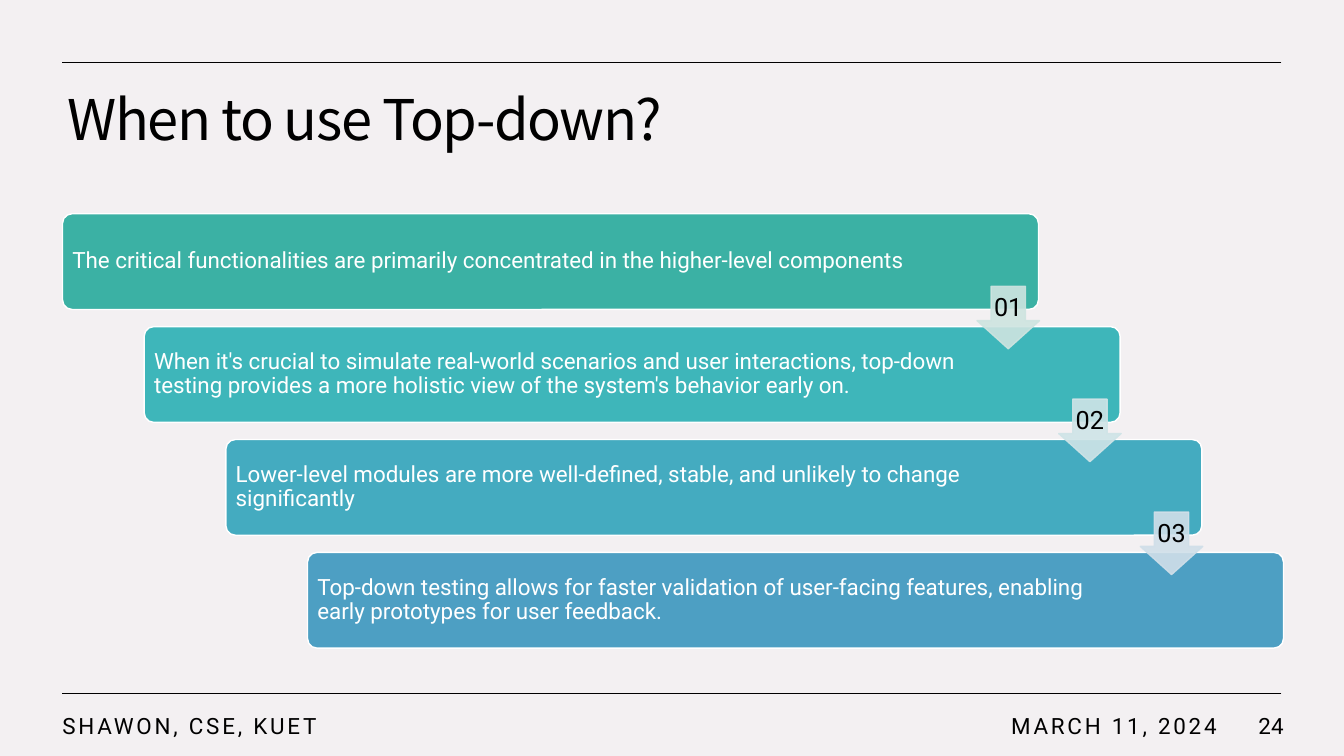
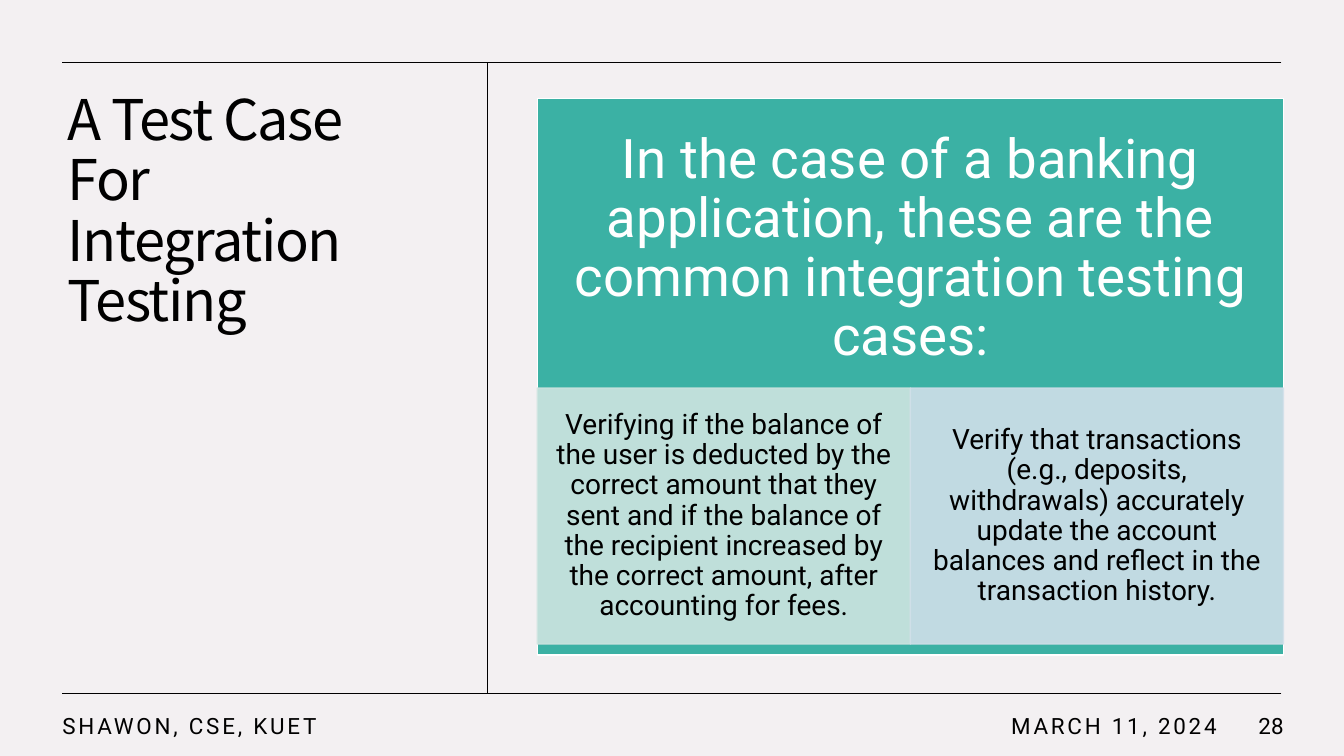
from lxml.etree import SubElement
from pptx import Presentation
from pptx.dml.color import RGBColor
from pptx.enum.shapes import MSO_CONNECTOR, MSO_SHAPE
from pptx.enum.text import MSO_ANCHOR, MSO_AUTO_SIZE, PP_ALIGN
from pptx.oxml.ns import qn
from pptx.util import Inches, Pt

BACKGROUND = RGBColor(0xF3, 0xF0, 0xF2)
BLACK = RGBColor(0x00, 0x00, 0x00)
WHITE = RGBColor(0xFF, 0xFF, 0xFF)
GREEN = RGBColor(0x3B, 0xB1, 0xA4)
TEAL = RGBColor(0x3E, 0xB6, 0xBA)
CYAN = RGBColor(0x44, 0xAB, 0xC0)
BLUE = RGBColor(0x4D, 0x9F, 0xC3)
PALE_GREEN = RGBColor(0xCE, 0xE4, 0xE0)
PALE_TEAL = RGBColor(0xCF, 0xE4, 0xE7)
PALE_BLUE = RGBColor(0xD0, 0xDF, 0xE9)

TITLE_FONT = "Noto Sans CJK KR"
BODY_FONT = "Roboto"
LEFT, RIGHT = 0.62, 12.71
TOP_RULE, BOTTOM_RULE = 0.62, 6.88


class Deck:
    """Holds the shared style and the slide being built."""

    def __init__(self):
        self.prs = Presentation()
        self.prs.slide_width = Inches(13.33)
        self.prs.slide_height = Inches(7.5)
        self.s = None

    def new_slide(self, title, title_width, title_height, number):
        self.s = self.prs.slides.add_slide(self.prs.slide_layouts[5])
        fill = self.s.background.fill
        fill.solid()
        fill.fore_color.rgb = BACKGROUND
        self.title(title, title_width, title_height)
        # Rules and footer
        for y in (TOP_RULE, BOTTOM_RULE):
            self.line(RIGHT, y, LEFT, y)
        self.footer("MARCH 11, 2024", 8.79, 3.38, PP_ALIGN.RIGHT, 2)
        self.footer("SHAWON, CSE, KUET", 0.52, 4.5, PP_ALIGN.LEFT, 2)
        self.footer(number, 12.06, 0.77, PP_ALIGN.RIGHT)

    def set_text(self, sp, text, size, color, align, font=BODY_FONT,
                 spacing=0, leading=0.9, anchor=MSO_ANCHOR.MIDDLE):
        tf = sp.text_frame
        tf.word_wrap = True
        tf.auto_size = MSO_AUTO_SIZE.NONE
        tf.vertical_anchor = anchor
        p = tf.paragraphs[0]
        r = p.add_run()
        r.text = text
        p.alignment = align
        p.line_spacing = leading
        p.font.size = Pt(size)
        p.font.name = font
        p.font.color.rgb = color
        if spacing:
            r.font._element.set("spc", str(spacing * 100))

    def title(self, text, width, height):
        sp = self.s.shapes.title
        sp.left, sp.top = Inches(0.57), Inches(0.86)
        sp.width, sp.height = Inches(width), Inches(height)
        self.set_text(sp, text, 40, BLACK, PP_ALIGN.LEFT, TITLE_FONT,
                      spacing=-1, anchor=MSO_ANCHOR.TOP)

    def footer(self, text, x, width, align, spacing=0):
        sp = self.s.shapes.add_textbox(Inches(x), Inches(7), Inches(width), Inches(0.4))
        self.set_text(sp, text, 16, BLACK, align, spacing=spacing, leading=1.0)

    def line(self, x1, y1, x2, y2):
        cn = self.s.shapes.add_connector(
            MSO_CONNECTOR.STRAIGHT, Inches(x1), Inches(y1), Inches(x2), Inches(y2))
        cn.line.color.rgb = BLACK
        cn.line.width = Pt(0.5)
        SubElement(cn._element.spPr, qn("a:effectLst"))

    def box(self, kind, x, y, width, height, color, text, size, insets,
            align=PP_ALIGN.CENTER, pale=False, adjust=()):
        """Filled shape with text; pale ones are slightly see-through."""
        sp = self.s.shapes.add_shape(
            kind, Inches(x), Inches(y), Inches(width), Inches(height))
        sp.shadow.inherit = False
        for i, value in enumerate(adjust):
            sp.adjustments[i] = value
        sp.fill.solid()
        sp.fill.fore_color.rgb = color
        sp.line.color.rgb = color if pale else WHITE
        sp.line.width = Pt(1)
        if pale:
            for clr in sp._element.spPr.iter(qn("a:srgbClr")):
                SubElement(clr, qn("a:alpha"), val="90000")
        tf = sp.text_frame
        (tf.margin_left, tf.margin_top,
         tf.margin_right, tf.margin_bottom) = [Inches(v) for v in insets]
        self.set_text(sp, text, size, BLACK if pale else WHITE, align)


def build_top_down(deck):
    deck.new_slide("When to use Top-down?", 12.15, 1.15, "24")
    # Step colour, right inset, text
    steps = [
        (GREEN, 1.1, "The critical functionalities are primarily concentrated in the "
                     "higher-level components"),
        (TEAL, 1.5, "When it's crucial to simulate real-world scenarios and user "
                    "interactions, top-down testing provides a more holistic view of "
                    "the system's behavior early on."),
        (CYAN, 1.5, "Lower-level modules are more well-defined, stable, and unlikely "
                    "to change significantly"),
        (BLUE, 1.5, "Top-down testing allows for faster validation of user-facing "
                    "features, enabling early prototypes for user feedback."),
    ]
    x0, y0, dx, dy = LEFT, 2.12, 0.81, 1.12
    for i, (color, right, text) in enumerate(steps):
        deck.box(MSO_SHAPE.ROUNDED_RECTANGLE, x0 + i * dx, y0 + i * dy, 9.68, 0.95,
                 color, text, 16, (0.07, 0.07, right, 0.07), PP_ALIGN.LEFT,
                 adjust=(0.1,))
    # Numbered arrows between the steps
    for i, color in enumerate((PALE_GREEN, PALE_TEAL, PALE_BLUE)):
        deck.box(MSO_SHAPE.DOWN_ARROW, x0 + 9.07 + i * dx, y0 + 0.72 + i * dy, 0.62, 0.62,
                 color, f"{i + 1:02}", 18, (0, 0.03, 0, 0.06), pale=True,
                 adjust=(0.55, 0.45))


def build_test_case(deck):
    deck.new_slide("A Test Case For Integration Testing", 3.77, 5.52, "28")
    deck.line(4.83, TOP_RULE, 4.83, BOTTOM_RULE)
    # Panel with its heading in the upper part
    x, width = 5.33, 7.4
    deck.box(MSO_SHAPE.RECTANGLE, x, 0.98, width, 5.52, GREEN,
             "In the case of a banking application, these are the common "
             "integration testing cases:", 39, (0.3, 0.3, 0.3, 2.84))
    # Two cases side by side
    cases = [
        (PALE_GREEN, "Verifying if the balance of the user is deducted by the correct "
                     "amount that they sent and if the balance of the recipient "
                     "increased by the correct amount, after accounting for fees."),
        (PALE_BLUE, "Verify that transactions (e.g., deposits, withdrawals) accurately "
                    "update the account balances and reflect in the transaction history."),
    ]
    for i, (color, text) in enumerate(cases):
        deck.box(MSO_SHAPE.RECTANGLE, x + i * width / 2, 3.85, width / 2, 2.54, color,
                 text, 20, (0.16, 0.03, 0.16, 0.03), pale=True)


def main():
    deck = Deck()
    build_top_down(deck)
    build_test_case(deck)
    deck.prs.save("out.pptx")


if __name__ == "__main__":
    main()
